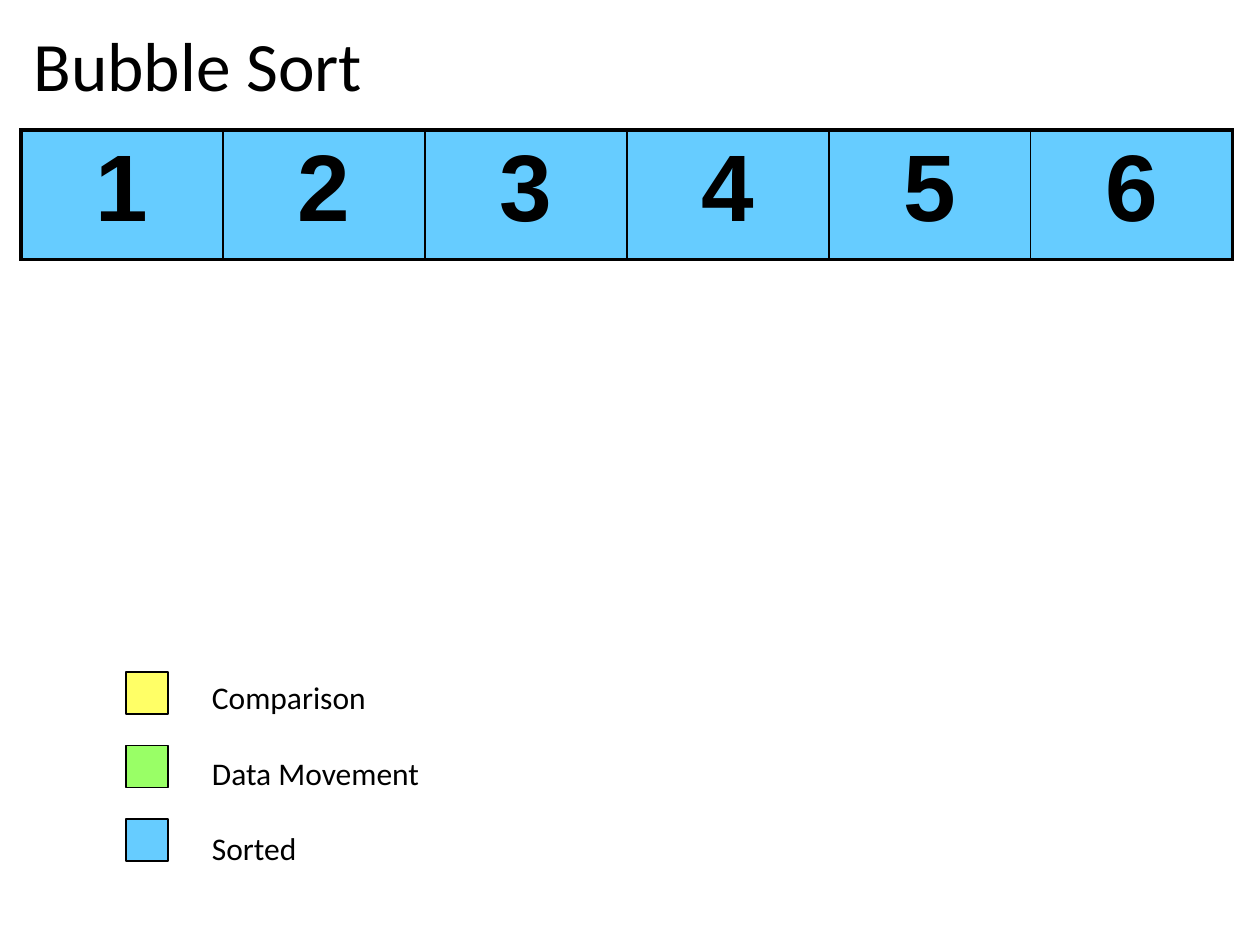
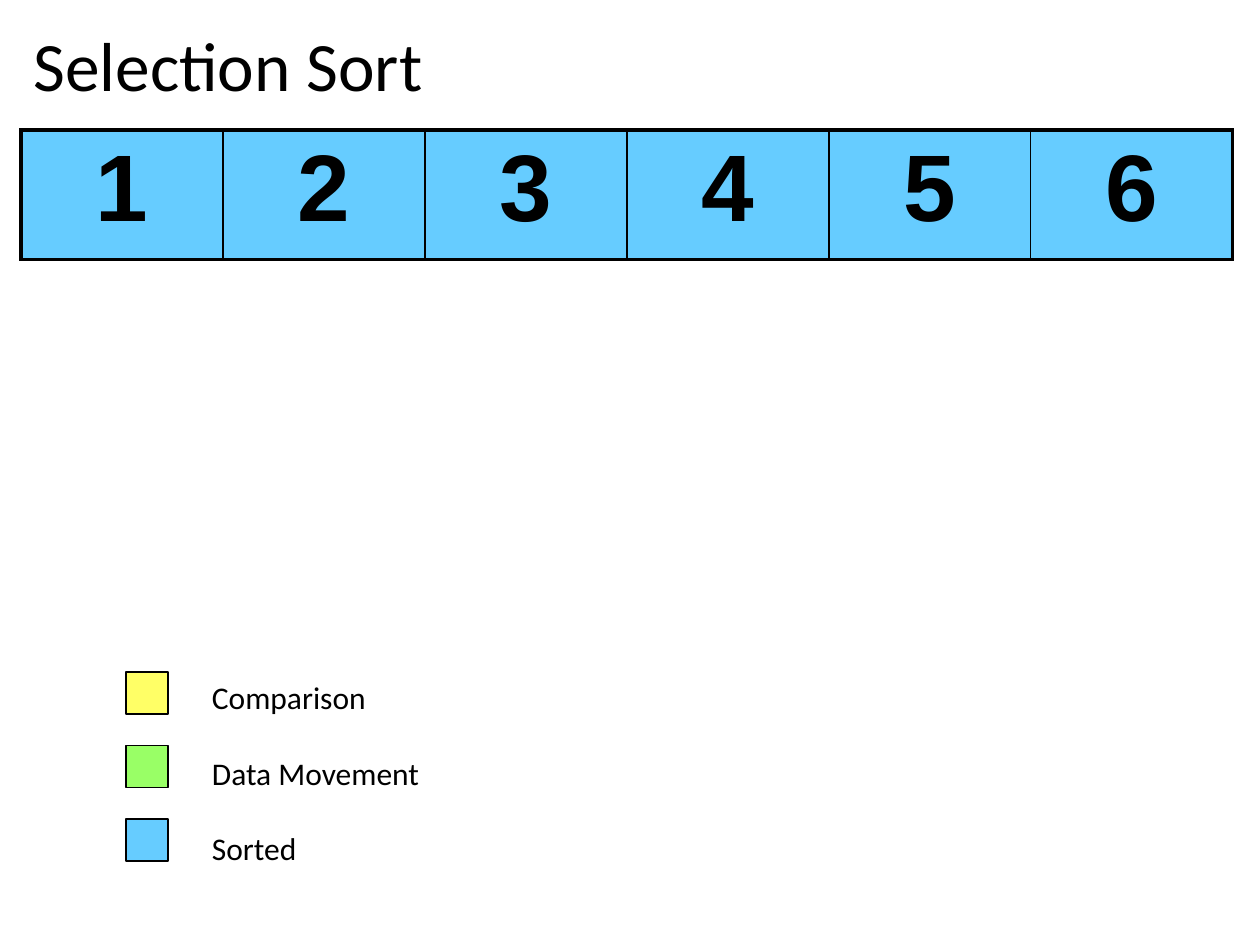
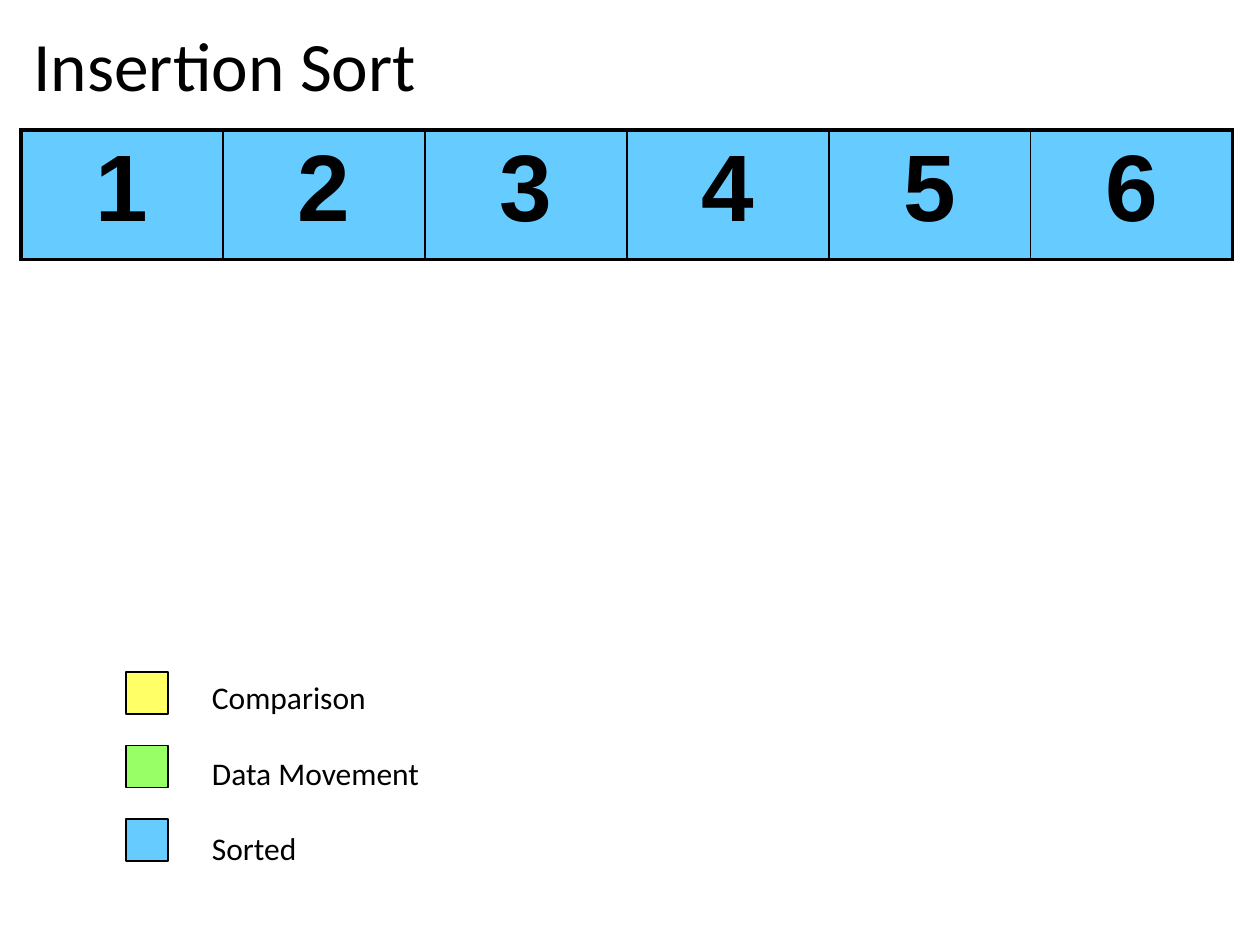
from lxml.etree import SubElement
from pptx import Presentation
from pptx.dml.color import RGBColor
from pptx.enum.shapes import MSO_SHAPE
from pptx.enum.text import MSO_ANCHOR, MSO_AUTO_SIZE, PP_ALIGN
from pptx.oxml.ns import qn
from pptx.util import Pt

# Shared colours, fonts and measures
BLACK = RGBColor(0x00, 0x00, 0x00)
COMPARISON_YELLOW = RGBColor(0xFF, 0xFF, 0x66)
MOVEMENT_GREEN = RGBColor(0x99, 0xFF, 0x66)
SORTED_BLUE = RGBColor(0x66, 0xCC, 0xFF)
TEXT_FONT = "Calibri"
NUMBER_FONT = "Arial"

LEFT = 12
COLUMN_WIDTH = 115.4
ARRAY_TOP, ARRAY_HEIGHT = 74.2, 74.2
LEGEND_TOP, LEGEND_STEP, SWATCH_SIZE = 384, 42, 24
OUTER_BORDER, INNER_BORDER = 2.25, 1

# Content
ALGORITHMS = ["Bubble Sort", "Selection Sort", "Insertion Sort"]
SORTED_VALUES = [1, 2, 3, 4, 5, 6]
LEGEND = [
    ("Comparison", COMPARISON_YELLOW),
    ("Data Movement", MOVEMENT_GREEN),
    ("Sorted", SORTED_BLUE),
]


def write(para, text, size=18, font=TEXT_FONT, bold=False,
          align=PP_ALIGN.LEFT, line_spacing=None, space_before=0):
    """Put formatted text in a paragraph."""
    para.alignment = align
    para.line_spacing = line_spacing
    para.space_before = Pt(space_before)
    span = para.add_run()
    span.text = text
    span.font.name = font
    span.font.size = Pt(size)
    span.font.bold = bold
    span.font.color.rgb = BLACK


def set_borders(cell, **widths):
    """Draw black cell borders, with widths given by side: L, R, T, B."""
    properties = cell._tc.get_or_add_tcPr()
    for side, width in widths.items():
        line = SubElement(properties, qn(f"a:ln{side}"), w=str(Pt(width)))
        fill = SubElement(line, qn("a:solidFill"))
        SubElement(fill, qn("a:srgbClr"), val=str(BLACK))


def add_title(page, text):
    title = page.shapes.title
    title.left, title.top = Pt(LEFT), Pt(13)
    title.width, title.height = Pt(COLUMN_WIDTH * len(SORTED_VALUES)), Pt(53)
    frame = title.text_frame
    frame.vertical_anchor = MSO_ANCHOR.MIDDLE
    write(frame.paragraphs[0], text, size=39.6, line_spacing=0.9)


def add_array(page, values):
    """Show the sorted values as a one-row table."""
    count = len(values)
    table = page.shapes.add_table(
        1, count, Pt(LEFT), Pt(ARRAY_TOP),
        Pt(COLUMN_WIDTH * count), Pt(ARRAY_HEIGHT)).table
    table.first_row = False
    table.horz_banding = False
    for index, value in enumerate(values):
        table.columns[index].width = Pt(COLUMN_WIDTH)
        cell = table.cell(0, index)
        set_borders(
            cell,
            L=OUTER_BORDER if index == 0 else INNER_BORDER,
            R=OUTER_BORDER if index == count - 1 else INNER_BORDER,
            T=OUTER_BORDER,
            B=OUTER_BORDER)
        cell.fill.solid()
        cell.fill.fore_color.rgb = SORTED_BLUE
        write(cell.text_frame.paragraphs[0], str(value), size=54,
              font=NUMBER_FONT, bold=True, align=PP_ALIGN.CENTER)


def add_swatch(page, top, color):
    swatch = page.shapes.add_shape(
        MSO_SHAPE.RECTANGLE, Pt(72), Pt(top), Pt(SWATCH_SIZE), Pt(SWATCH_SIZE))
    swatch.shadow.inherit = False
    swatch.fill.solid()
    swatch.fill.fore_color.rgb = color
    swatch.line.color.rgb = BLACK
    swatch.line.width = Pt(0.75)


def add_legend(page, entries):
    """Colour swatches with one text box of labels beside them."""
    for index, (_, color) in enumerate(entries):
        add_swatch(page, LEGEND_TOP + index * LEGEND_STEP, color)
    box = page.shapes.add_textbox(Pt(114), Pt(LEGEND_TOP), Pt(142), Pt(115))
    frame = box.text_frame
    frame.word_wrap = False
    frame.auto_size = MSO_AUTO_SIZE.SHAPE_TO_FIT_TEXT
    for index, (label, _) in enumerate(entries):
        para = frame.add_paragraph() if index else frame.paragraphs[0]
        write(para, label, space_before=21.6 if index else 0)


def main():
    deck = Presentation()
    deck.slide_width, deck.slide_height = Pt(720), Pt(540)
    title_only = deck.slide_layouts[5]
    for algorithm in ALGORITHMS:
        page = deck.slides.add_slide(title_only)
        add_title(page, algorithm)
        add_array(page, SORTED_VALUES)
        add_legend(page, LEGEND)
    deck.save("out.pptx")


if __name__ == "__main__":
    main()
